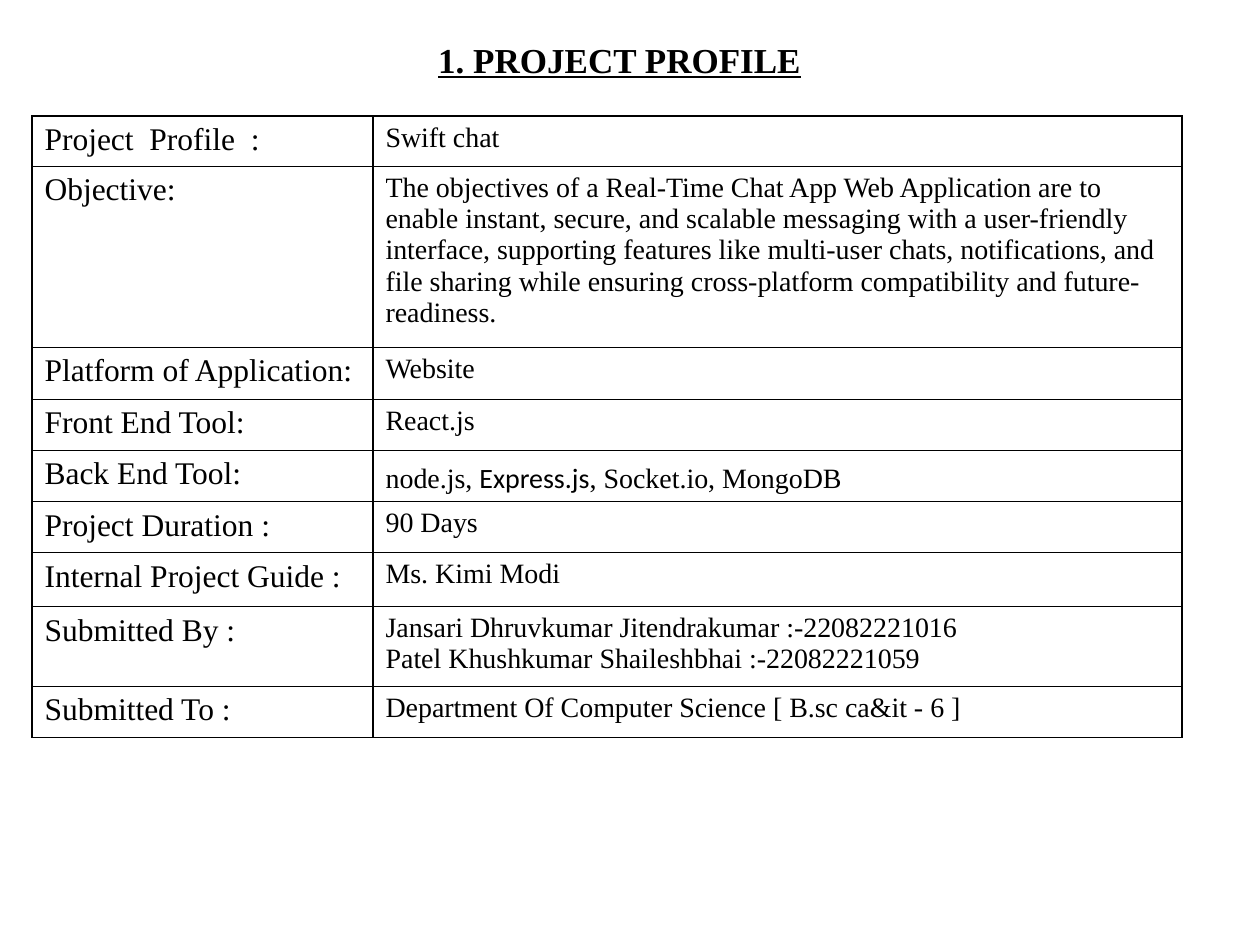
from pptx import Presentation
from pptx.util import Pt
from pptx.dml.color import RGBColor
from pptx.enum.text import PP_ALIGN, MSO_AUTO_SIZE
from pptx.oxml import parse_xml
from pptx.oxml.ns import nsdecls

SCALE = 914400 / 126
SERIF = "Times New Roman"
BLACK = "000000"


def px(n):
    return round(n * SCALE)


def color(code):
    return RGBColor.from_string(code)


class Deck:
    def __init__(self, wide, high):
        self.show = Presentation()
        self.show.slide_width = px(wide)
        self.show.slide_height = px(high)
        self.slide = self.show.slides.add_slide(self.show.slide_layouts[6])

    def label(self, para, text, **style):
        run = para.add_run()
        run.text = text
        font = {"name": SERIF, "size": Pt(16), **style}
        for key, value in font.items():
            setattr(run.font, key, value)
        run.font.color.rgb = color(BLACK)

    def title(self, text, *box):
        frame = self.slide.shapes.add_textbox(*map(px, box)).text_frame
        frame.word_wrap = True
        frame.auto_size = MSO_AUTO_SIZE.SHAPE_TO_FIT_TEXT
        para = frame.paragraphs[0]
        para.alignment = PP_ALIGN.CENTER
        self.label(para, text, size=Pt(20), bold=True, underline=True)

    def border(self, cell):
        props = cell._tc.get_or_add_tcPr()
        for index, side in enumerate(("lnL", "lnR", "lnT", "lnB")):
            line = parse_xml(
                f'<a:{side} {nsdecls("a")} w="12700"><a:solidFill>'
                f'<a:srgbClr val="{BLACK}"/></a:solidFill></a:{side}>')
            props.insert(index, line)

    def fill(self, cell, lines, size, space=None):
        cell.fill.background()
        self.border(cell)
        frame = cell.text_frame
        for index, line in enumerate(lines):
            para = frame.add_paragraph() if index else frame.paragraphs[0]
            if space:
                para.line_spacing = space
            for text, name in line:
                self.label(para, text, size=Pt(size), name=name)

    def table(self, left, top, cols, rows):
        high = sum(row[0] for row in rows)
        box = map(px, (left, top, sum(cols), high))
        grid = self.slide.shapes.add_table(len(rows), len(cols), *box).table
        grid.first_row = grid.horz_banding = False
        for col, wide in zip(grid.columns, cols):
            col.width = px(wide)
        for index, (tall, head, lines, space) in enumerate(rows):
            grid.rows[index].height = px(tall)
            self.fill(grid.cell(index, 0), [[(head, SERIF)]], 18)
            self.fill(grid.cell(index, 1), lines, 16, space)


def row(tall, head, *lines):
    return tall, head, [[(line, SERIF)] for line in lines], None


TOOLS = [("node.js, ", SERIF), ("Express.js", "Calibri"),
         (", Socket.io, MongoDB", SERIF)]
GOAL = ("The objectives of a Real-Time Chat App Web Application are to enable "
        "instant, secure, and scalable messaging with a user-friendly "
        "interface, supporting features like multi-user chats, notifications, "
        "and file sharing while ensuring cross-platform compatibility and "
        "future-readiness.")
ROWS = [
    row(50, "Project  Profile  :", "Swift chat"),
    row(181, "Objective:", GOAL),
    row(52, "Platform of Application:", "Website"),
    row(51, "Front End Tool:", "React.js"),
    (50, "Back End Tool:", [TOOLS], 1.15),
    row(51, "Project Duration :", "90 Days"),
    row(54, "Internal Project Guide :", "Ms. Kimi Modi"),
    row(80, "Submitted By :",
        "Jansari Dhruvkumar Jitendrakumar :-22082221016",
        "Patel Khushkumar Shaileshbhai :-22082221059"),
    row(51, "Submitted To :",
        "Department Of Computer Science [ B.sc ca&it - 6 ]"),
]


def main():
    deck = Deck(1260, 945)
    deck.title("1. PROJECT PROFILE", 420, 32, 399, 55)
    deck.table(32, 116, (341, 809), ROWS)
    deck.show.save("out.pptx")


if __name__ == "__main__":
    main()
